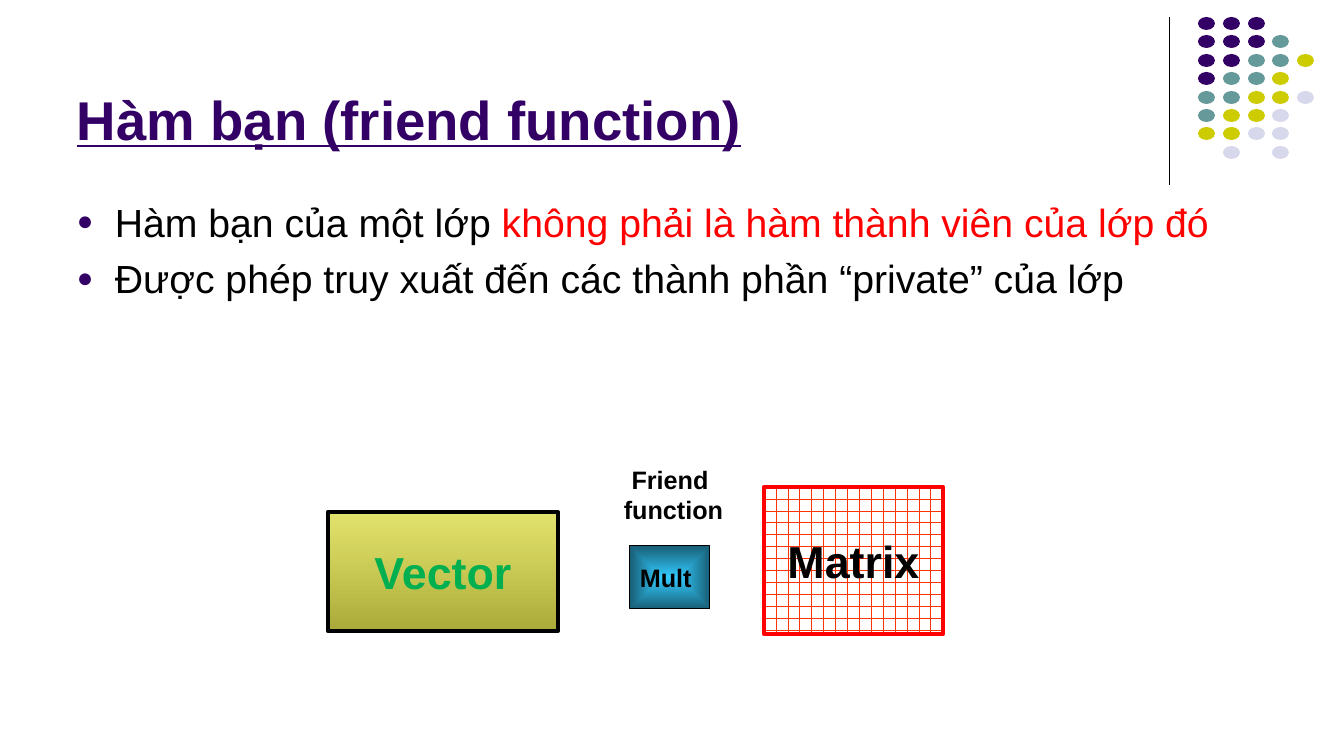
"""Build the slide about friend functions."""
from typing import NamedTuple

import lxml.etree
import pptx
import pptx.dml.color
import pptx.enum.dml
import pptx.enum.shapes
import pptx.enum.text
import pptx.oxml
import pptx.oxml.ns
import pptx.util

PX = 9144000 / 1008
FONT = "Arial"
BLACK, PURPLE, RED = "000000", "330066", "FF0000"
CENTER = pptx.enum.text.PP_ALIGN.CENTER
LEFT = pptx.enum.text.PP_ALIGN.LEFT
TOP = pptx.enum.text.MSO_ANCHOR.TOP
MIDDLE = pptx.enum.text.MSO_ANCHOR.MIDDLE
BOTTOM = pptx.enum.text.MSO_ANCHOR.BOTTOM
RECTANGLE = pptx.enum.shapes.MSO_SHAPE.RECTANGLE
OVAL = pptx.enum.shapes.MSO_SHAPE.OVAL

DOT_COLORS = {"P": PURPLE, "T": "669999", "Y": "CCCC00", "L": "D8D8EC"}
DOT_ROWS = ("PPP", "PPPT", "PPTTY", "PTTY", "TTYYL", "TYYL", "YYLL", " L L")


class Run(NamedTuple):
    text: str
    color: str = BLACK


class Box(NamedTuple):
    left: int
    top: int
    width: int
    height: int


class Text(NamedTuple):
    paragraphs: tuple[tuple[Run, ...], ...]
    size: int
    bold: bool = True
    underline: bool = False
    align: pptx.enum.text.PP_ALIGN = CENTER
    anchor: pptx.enum.text.MSO_ANCHOR = MIDDLE
    wrap: bool = False
    bullets: bool = False


class Stop(NamedTuple):
    position: int
    color: str
    opacity: int = 100


class Block(NamedTuple):
    box: Box
    text: Text
    line_color: str
    line_width: float
    stops: tuple[Stop, ...] = ()
    direction: str = ""


LINEAR = '<a:lin ang="5400000" scaled="1"/>'
FROM_CENTER = ('<a:path path="rect"><a:fillToRect l="50000" t="50000" '
               'r="50000" b="50000"/></a:path>')

TEXTS = (
    (Box(67, 13, 1109, 143),
     Text(((Run("Hàm bạn (friend function)", PURPLE),),), 39,
          underline=True, align=LEFT, anchor=BOTTOM, wrap=True)),
    (Box(67, 193, 1210, 482),
     Text(((Run("Hàm bạn của một lớp "),
            Run("không phải là hàm thành viên của lớp đó", RED)),
           (Run("Được phép truy xuất đến các thành phần “private” của lớp"),)),
          28, bold=False, align=LEFT, anchor=TOP, wrap=True, bullets=True)),
    (Box(613, 459, 121, 72),
     Text(((Run("Friend "),), (Run("function"),)), 18, anchor=TOP)),
)

BLOCKS = (
    Block(Box(764, 487, 179, 147), Text(((Run("Matrix"),),), 32), RED, 3),
    Block(Box(328, 512, 230, 119), Text(((Run("Vector", "00B050"),),), 32),
          BLACK, 3, (Stop(0, "CCCC00", 57), Stop(100, "929200", 78)), LINEAR),
    Block(Box(630, 546, 80, 63), Text(((Run("Mult"),),), 18, align=LEFT),
          BLACK, 0.75, (Stop(0, "33CCFF"), Stop(100, "185E76")), FROM_CENTER),
)


def px(value: int) -> pptx.util.Emu:
    """Turn pixels into EMU."""
    return pptx.util.Emu(round(value * PX))


def rgb(color: str) -> pptx.dml.color.RGBColor:
    """Turn a hex string into a colour."""
    return pptx.dml.color.RGBColor.from_string(color)


def apply(target, **values) -> None:
    """Set every given attribute on the target."""
    for name, value in values.items():
        setattr(target, name, value)


def add_bullet(paragraph) -> None:
    """Give a paragraph a hanging purple bullet."""
    properties = paragraph._p.get_or_add_pPr()
    indent = px(38)
    properties.set("marL", str(indent))
    properties.set("indent", str(-indent))
    color = lxml.etree.SubElement(properties, pptx.oxml.ns.qn("a:buClr"))
    lxml.etree.SubElement(color, pptx.oxml.ns.qn("a:srgbClr"), val=PURPLE)
    for tag, values in (("a:buSzPct", {"val": "70000"}),
                        ("a:buFont", {"typeface": FONT}),
                        ("a:buChar", {"char": "●"})):
        lxml.etree.SubElement(properties, pptx.oxml.ns.qn(tag), values)


def write_text(shape, text: Text) -> None:
    """Fill a shape with formatted text."""
    frame = shape.text_frame
    apply(frame, word_wrap=text.wrap, vertical_anchor=text.anchor)
    for index, runs in enumerate(text.paragraphs):
        paragraph = frame.add_paragraph() if index else frame.paragraphs[0]
        paragraph.alignment = text.align
        if index and text.bullets:
            paragraph.space_before = pptx.util.Pt(6.5)
        if text.bullets:
            add_bullet(paragraph)
        for item in runs:
            run = paragraph.add_run()
            run.text = item.text
            apply(run.font, name=FONT, size=pptx.util.Pt(text.size),
                  bold=text.bold, underline=text.underline)
            run.font.color.rgb = rgb(item.color)


def add_shape(slide, kind: pptx.enum.shapes.MSO_SHAPE, box: Box):
    """Add a preset shape without a shadow."""
    shape = slide.shapes.add_shape(kind, *map(px, box))
    shape.shadow.inherit = False
    return shape


def fill_gradient(shape, stops: tuple[Stop, ...], direction: str) -> None:
    """Fill a shape with a gradient of translucent stops."""
    stop_xml = "".join(
        f'<a:gs pos="{stop.position * 1000}"><a:srgbClr val="{stop.color}">'
        f'<a:alpha val="{stop.opacity * 1000}"/></a:srgbClr></a:gs>'
        for stop in stops)
    gradient = pptx.oxml.parse_xml(
        f'<a:gradFill {pptx.oxml.ns.nsdecls("a")} rotWithShape="1">'
        f'<a:gsLst>{stop_xml}</a:gsLst>{direction}</a:gradFill>')
    geometry = shape._element.spPr.find(pptx.oxml.ns.qn("a:prstGeom"))
    geometry.addnext(gradient)


def fill_brick(shape) -> None:
    """Fill a shape with an orange brick pattern."""
    shape.fill.patterned()
    shape.fill.pattern = pptx.enum.dml.MSO_PATTERN.HORIZONTAL_BRICK
    shape.fill.fore_color.rgb = rgb("FF3300")
    shape.fill.back_color.rgb = rgb("FFFFFF")


def add_block(slide, block: Block) -> None:
    """Add one labelled block of the diagram."""
    shape = add_shape(slide, RECTANGLE, block.box)
    if block.stops:
        fill_gradient(shape, block.stops, block.direction)
    else:
        fill_brick(shape)
    shape.line.color.rgb = rgb(block.line_color)
    shape.line.width = pptx.util.Pt(block.line_width)
    write_text(shape, block.text)


def add_ornament(slide) -> None:
    """Add the corner dots and the upright line beside them."""
    line = slide.shapes.add_connector(
        pptx.enum.shapes.MSO_CONNECTOR.STRAIGHT,
        px(1170), px(17), px(1170), px(185))
    line.line.color.rgb = rgb(BLACK)
    line.line.width = pptx.util.Pt(0.75)
    lxml.etree.SubElement(line._element.spPr, pptx.oxml.ns.qn("a:effectLst"))
    for row, letters in enumerate(DOT_ROWS):
        for column, letter in enumerate(letters):
            if letter in DOT_COLORS:
                box = Box(round(1198.4 + 24.6 * column),
                          round(17 + 18.4 * row), 17, 13)
                dot = add_shape(slide, OVAL, box)
                dot.fill.solid()
                dot.fill.fore_color.rgb = rgb(DOT_COLORS[letter])
                dot.line.fill.background()


def main() -> None:
    """Build and save the presentation."""
    presentation = pptx.Presentation()
    apply(presentation, slide_width=px(1344), slide_height=px(756))
    slide = presentation.slides.add_slide(presentation.slide_layouts[6])
    add_ornament(slide)
    for block in BLOCKS:
        add_block(slide, block)
    for box, text in TEXTS:
        write_text(slide.shapes.add_textbox(*map(px, box)), text)
    presentation.save("out.pptx")


if __name__ == "__main__":
    main()
